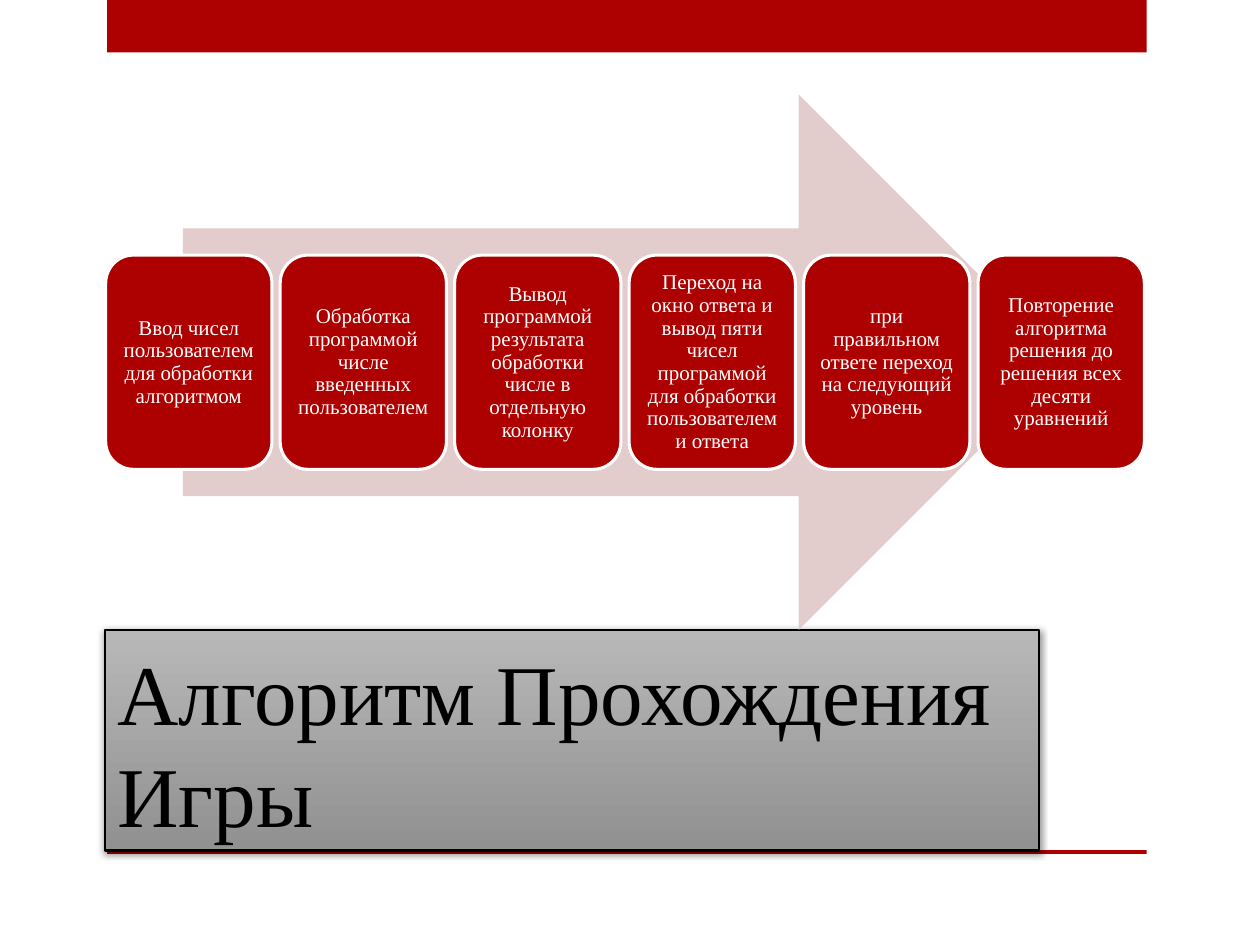
from lxml import etree
from pptx import Presentation
from pptx.dml.color import RGBColor
from pptx.enum.shapes import MSO_SHAPE as Shape
from pptx.enum.text import MSO_ANCHOR as Anchor, PP_ALIGN as Align
from pptx.oxml import parse_xml
from pptx.util import Pt

RED = "AD0101"
FONT = "Times New Roman"
STEPS = [
    "Ввод чисел пользователем для обработки алгоритмом",
    "Обработка программой числе введенных пользователем",
    "Вывод программой результата обработки числе в отдельную колонку",
    "Переход на окно ответа и вывод пяти чисел программой для обработки пользователем и ответа",
    "при правильном ответе переход на следующий уровень",
    "Повторение алгоритма решения до решения всех десяти уравнений",
]
TITLE_SHADOW = """
<a:effectLst xmlns:a="http://schemas.openxmlformats.org/drawingml/2006/main">
  <a:outerShdw blurRad="50800" dist="12700" dir="5280000" rotWithShape="0">
    <a:srgbClr val="000000"><a:alpha val="40000"/></a:srgbClr>
  </a:outerShdw>
</a:effectLst>"""


def color(hex_string):
    return RGBColor.from_string(hex_string)


def add_box(kind, left, top, width, height, fill=RED):
    """Add a flat shape, placed in points, without outline or shadow."""
    box = slide.shapes.add_shape(kind, Pt(left), Pt(top), Pt(width), Pt(height))
    box.shadow.inherit = False
    box.fill.solid()
    box.fill.fore_color.rgb = color(fill)
    box.line.fill.background()
    return box


deck = Presentation()
deck.slide_width, deck.slide_height = Pt(720), Pt(540)
slide = deck.slides.add_slide(deck.slide_layouts[6])

# Red bands at the top and under the title
add_box(Shape.RECTANGLE, 61.2, 0, 594, 30)
add_box(Shape.RECTANGLE, 61.2, 485.8, 594, 2.2)

# Title
title = add_box(Shape.RECTANGLE, 60, 360, 534, 126)
title.fill.gradient()
title.fill.gradient_angle = 270
for stop, shade in zip(title.fill.gradient_stops, ("B8B8B8", "919191")):
    stop.color.rgb = color(shade)
title.line.color.rgb = color("000000")
title.line.width = Pt(1.25)
properties = title.fill._xPr
properties.remove(properties.find("{*}effectLst"))
properties.find("{*}ln").addnext(parse_xml(etree.tostring(etree.fromstring(TITLE_SHADOW))))
frame = title.text_frame
frame.word_wrap = True
frame.vertical_anchor = Anchor.BOTTOM
para = frame.paragraphs[0]
para.text = "Алгоритм Прохождения Игры"
para.alignment = Align.LEFT
para.font.name = FONT
para.font.size = Pt(48.6)
para.font.color.rgb = color("000000")

# Process arrow with its steps
add_box(Shape.RIGHT_ARROW, 104.6, 54, 504.8, 306, "E3CCCC")
for index, text in enumerate(STEPS):
    step = add_box(Shape.ROUNDED_RECTANGLE, 60.4 + index * 99.7, 145.8, 95, 122.4)
    step.line.color.rgb = color("FFFFFF")
    step.line.width = Pt(1.75)
    frame = step.text_frame
    frame.word_wrap = True
    frame.vertical_anchor = Anchor.MIDDLE
    frame.margin_left = frame.margin_right = Pt(3.6)
    frame.margin_top = frame.margin_bottom = Pt(3.6)
    para = frame.paragraphs[0]
    para.text = text
    para.alignment = Align.CENTER
    para.line_spacing = 0.9
    para.font.name = FONT
    para.font.size = Pt(12)
    para.font.color.rgb = color("FFFFFF")

deck.save("out.pptx")
